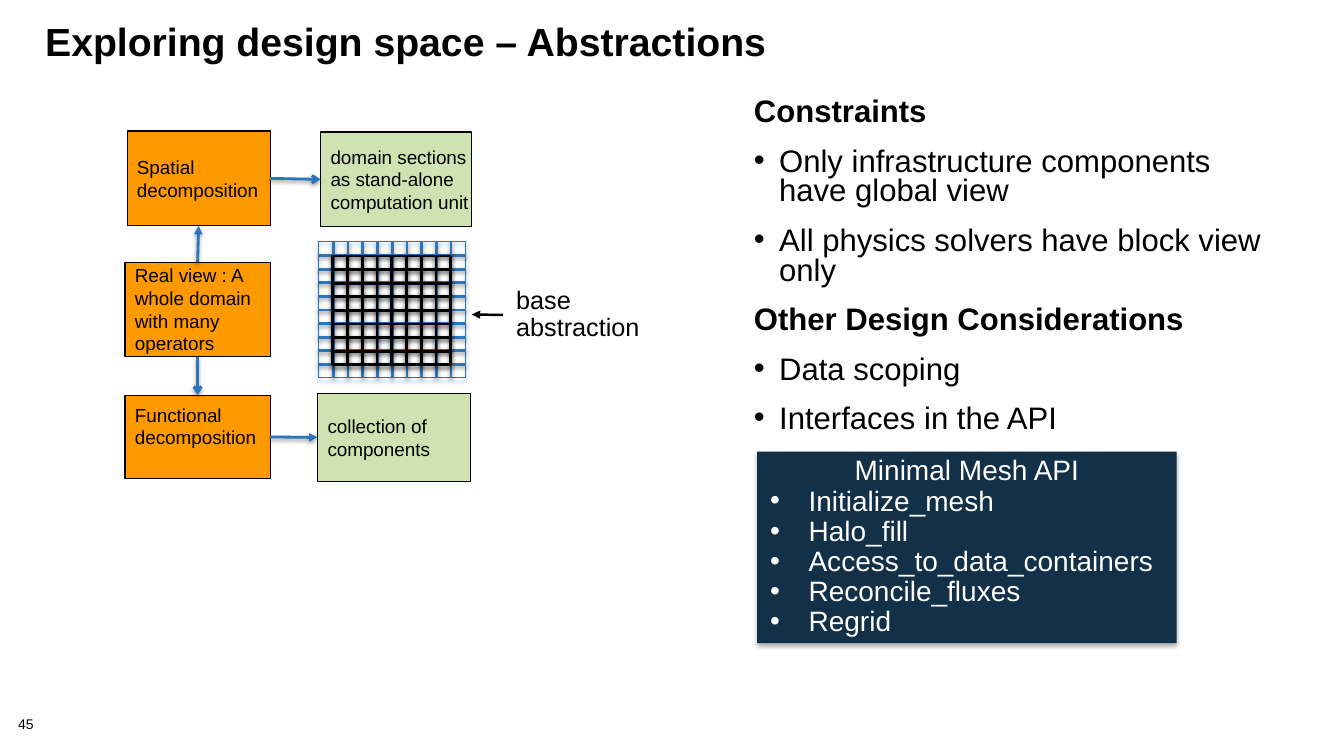
from lxml import etree
from pptx import Presentation
from pptx.dml.color import RGBColor
from pptx.enum.shapes import MSO_CONNECTOR as Connector, MSO_SHAPE as Shape
from pptx.enum.text import MSO_ANCHOR as Anchor, PP_ALIGN as Align
from pptx.oxml.ns import qn
from pptx.util import Inches, Pt

BLACK = RGBColor(0x00, 0x00, 0x00)
WHITE = RGBColor(0xFF, 0xFF, 0xFF)
ORANGE = RGBColor(0xFF, 0x99, 0x00)
GREEN = RGBColor(0xCE, 0xE3, 0xB1)
BLUE = RGBColor(0x2A, 0x75, 0xBB)
NAVY = RGBColor(0x13, 0x30, 0x49)

# Content
TITLE = "Exploring design space – Abstractions"
PAGE_NUMBER = "45"
BASE_LABEL = ["base", "abstraction"]

# name: (left, top, width, height), fill, bottom inset, lines
BOXES = {
    "real": ((1.24, 2.6, 1.44, 0.94), ORANGE, 0.05,
             ["Real view : A", "whole domain", "with many", "operators"]),
    "functional": ((1.24, 3.92, 1.44, 0.83), ORANGE, 0.27,
                   ["Functional", "decomposition"]),
    "sections": ((3.18, 1.31, 1.5, 0.94), GREEN, 0.05,
                 ["domain sections", "as stand-alone", "computation unit"]),
    "components": ((3.15, 3.9, 1.52, 0.88), GREEN, 0.05,
                   ["collection of", "components"]),
    "spatial": ((1.26, 1.3, 1.42, 0.94), ORANGE, 0.05,
                ["Spatial", "decomposition"]),
}
TOP, LEFT, BOTTOM, RIGHT = range(4)
# from box, side, to box, side, arrowhead
ARROWS = [
    ("spatial", RIGHT, "sections", LEFT, "arrow"),
    ("real", BOTTOM, "functional", TOP, "arrow"),
    ("real", TOP, "spatial", BOTTOM, "triangle"),
    ("functional", RIGHT, "components", LEFT, "triangle"),
]
# left, top, width, height, cells per side, colour, outline width
GRIDS = [
    (3.16, 2.4, 1.46, 1.35, 10, BLUE, 0.75),
    (3.3, 2.54, 1.17, 1.08, 8, BLACK, 2),
]
# heading, points
NOTES = [
    ("Constraints", ["Only infrastructure components have global view",
                     "All physics solvers have block view only"]),
    ("Other Design Considerations", ["Data scoping", "Interfaces in the API"]),
]
MESH_TITLE = "Minimal Mesh API"
MESH_CALLS = ["Initialize_mesh", "Halo_fill", "Access_to_data_containers",
              "Reconcile_fluxes", "Regrid"]

# Shadows: opacity in percent, blur and distance in points
LINE_SHADOW = (38, 3.1, 1.6)
GRID_SHADOW = (35, 3.1, 1.8)
PANEL_SHADOW = (32, 3.5, 2.2)

presentation = Presentation()
presentation.slide_width = Inches(13.33)
presentation.slide_height = Inches(7.5)
slide = presentation.slides.add_slide(presentation.slide_layouts[6])


def set_shadow(shape, shadow=None):
    effects = etree.SubElement(shape._element.spPr, qn("a:effectLst"))
    if shadow:
        opacity, blur, distance = shadow
        outer = etree.SubElement(effects, qn("a:outerShdw"), blurRad=str(Pt(blur)),
                                 dist=str(Pt(distance)), dir="5400000",
                                 rotWithShape="0")
        color = etree.SubElement(outer, qn("a:srgbClr"), val="000000")
        etree.SubElement(color, qn("a:alpha"), val=str(opacity * 1000))


def add_rectangle(shapes, place, fill=None, line=None, width=0.75, shadow=None):
    shape = shapes.add_shape(Shape.RECTANGLE, *map(Inches, place))
    if fill is None:
        shape.fill.background()
    else:
        shape.fill.solid()
        shape.fill.fore_color.rgb = fill
    if line is None:
        shape.line.fill.background()
    else:
        shape.line.color.rgb = line
        shape.line.width = Pt(width)
    set_shadow(shape, shadow)
    return shape


def add_line(shapes, start, end, color=BLUE, width=2, head=None, shadow=LINE_SHADOW):
    line = shapes.add_connector(Connector.STRAIGHT, *map(Inches, start + end))
    line.line.color.rgb = color
    line.line.width = Pt(width)
    if head:
        etree.SubElement(line.line._ln, qn("a:tailEnd"), type=head)
    set_shadow(line, shadow)
    return line


def set_frame(shape, insets=(0.1, 0.05, 0.1, 0.05), anchor=Anchor.TOP, wrap=True):
    frame = shape.text_frame
    frame.word_wrap = wrap
    frame.vertical_anchor = anchor
    (frame.margin_left, frame.margin_top,
     frame.margin_right, frame.margin_bottom) = map(Inches, insets)
    return frame


def add_text_box(place, **options):
    return set_frame(slide.shapes.add_textbox(*map(Inches, place)), **options)


def write(frame, text, size, color=BLACK, bold=False, spacing=None, before=0,
          indent=0, align=Align.LEFT):
    first = not frame.text
    paragraph = frame.paragraphs[0] if first else frame.add_paragraph()
    paragraph.alignment = align
    paragraph.line_spacing = spacing
    paragraph.space_before = Pt(0 if first else before)
    if indent:
        properties = paragraph._p.get_or_add_pPr()
        properties.set("marL", str(Inches(indent)))
        properties.set("indent", str(-Inches(indent)))
        bullet_color = etree.SubElement(properties, qn("a:buClr"))
        etree.SubElement(bullet_color, qn("a:srgbClr"), val=str(color))
        etree.SubElement(properties, qn("a:buFont"), typeface="Arial")
        etree.SubElement(properties, qn("a:buChar"), char="•")
    run = paragraph.add_run()
    run.text = text
    run.font.name = "Arial"
    run.font.size = Pt(size)
    run.font.bold = bold
    run.font.color.rgb = color


# Title and page number
write(add_text_box((0.35, 0.19, 11.6, 0.68)), TITLE, 28, bold=True, spacing=0.85)
write(add_text_box((0.18, 7.12, 0.56, 0.16), insets=(0, 0, 0, 0)),
      PAGE_NUMBER, 10, spacing=0.9)

# Decomposition boxes
boxes = {}
for name, (place, fill, bottom_inset, lines) in BOXES.items():
    boxes[name] = add_rectangle(slide.shapes, place, fill, BLACK)
    frame = set_frame(boxes[name], (0.1, 0.05, 0.1, bottom_inset), Anchor.MIDDLE, False)
    for text in lines:
        write(frame, text, 13.5)

# Arrows between boxes
for source, source_side, target, target_side, head in ARROWS:
    arrow = add_line(slide.shapes, (0, 0), (1, 1), head=head)
    arrow.begin_connect(boxes[source], source_side)
    arrow.end_connect(boxes[target], target_side)

# Mesh block: outer grid with halo cells, inner grid without
mesh = slide.shapes.add_group_shape().shapes
for left, top, width, height, cells, color, outline in GRIDS:
    add_rectangle(mesh, (left, top, width, height), None, color, outline, GRID_SHADOW)
    for index in range(1, cells):
        x = left + width * index / cells
        y = top + height * index / cells
        add_line(mesh, (x, top), (x, top + height), color)
        add_line(mesh, (left, y), (left + width, y), color)

# Base abstraction label and its arrow
label = slide.shapes.add_textbox(*map(Inches, (4.99, 2.75, 1.5, 0.75)))
frame = set_frame(label, (0.13, 0.1, 0.13, 0.1), Anchor.MIDDLE, False)
for text in BASE_LABEL:
    write(frame, text, 18, spacing=0.9)
arrow = add_line(slide.shapes, (4.99, 3.12), (4.68, 3.12), BLACK, 1.75, "triangle", None)
arrow.begin_connect(label, LEFT)

# Constraints and considerations
frame = add_text_box((7.38, 0.93, 5.23, 3.52))
for heading, points in NOTES:
    write(frame, heading, 22.2, bold=True, spacing=0.8, before=14)
    for point in points:
        write(frame, point, 22.2, spacing=0.8, before=14, indent=0.25)

# Mesh API panel
panel = add_rectangle(slide.shapes, (7.51, 4.48, 4.16, 1.9), NAVY, shadow=PANEL_SHADOW)
frame = set_frame(panel, (0.13, 0.07, 0.13, 0.07), Anchor.MIDDLE)
write(frame, MESH_TITLE, 20, WHITE, spacing=0.9, align=Align.CENTER)
for call in MESH_CALLS:
    write(frame, call, 20, WHITE, spacing=0.9, indent=0.38)

presentation.save("out.pptx")
